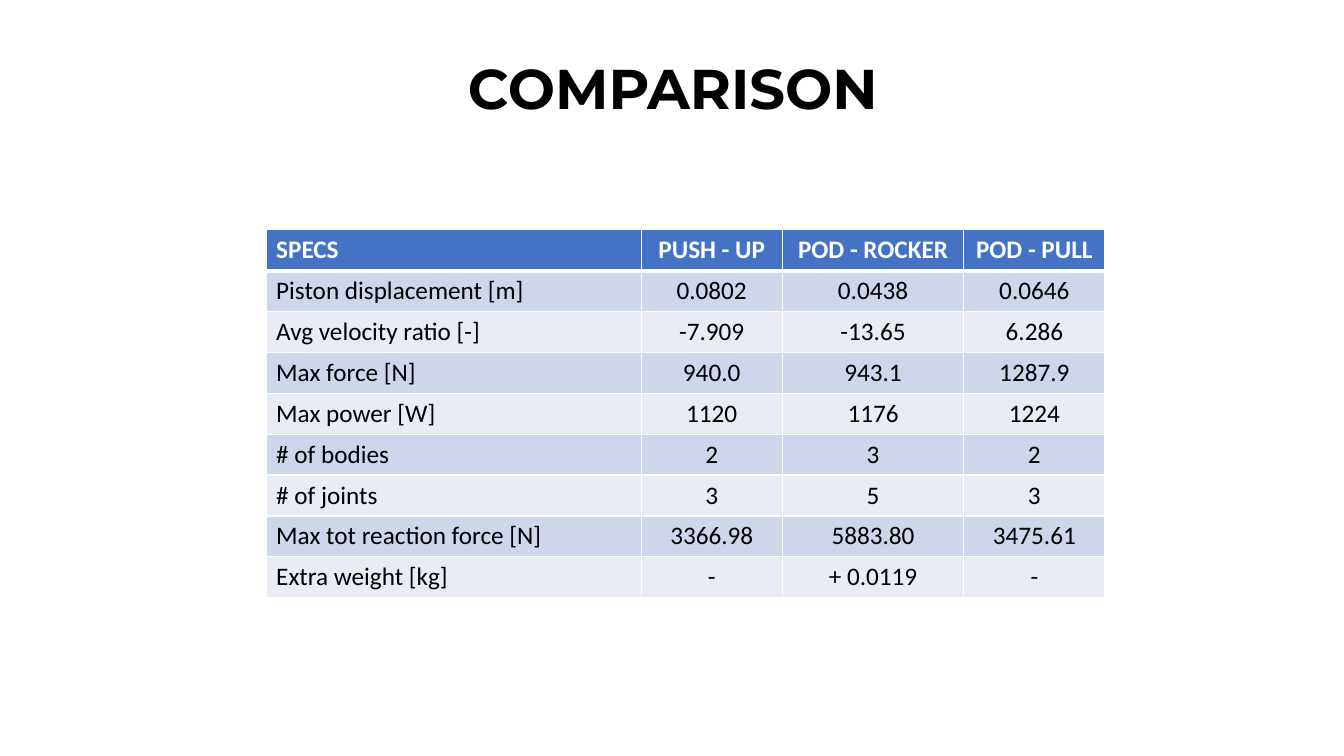
from dataclasses import dataclass

from lxml.etree import SubElement
from pptx import Presentation
from pptx.dml.color import RGBColor
from pptx.enum.text import MSO_ANCHOR, PP_ALIGN
from pptx.oxml.ns import qn
from pptx.util import Inches, Pt


@dataclass(frozen=True)
class Theme:
    """Colours, fonts and type sizes of the slide."""
    black: str = "000000"
    white: str = "FFFFFF"
    head: str = "4472C4"
    bands: tuple = ("CFD5EA", "E9EBF5")
    title: tuple = ("Montserrat", 40)
    body: tuple = ("Calibri", 18)
    thin: int = 1
    thick: int = 3


THEME = Theme()
WIDE, HIGH = Inches(13.33), Inches(7.5)
COLS = (3.72, 1.4, 1.8, 1.4)
ROW = Inches(3.65) // 9
SPECS = (
    ("SPECS", "PUSH - UP", "POD - ROCKER", "POD - PULL"),
    ("Piston displacement [m]", "0.0802", "0.0438", "0.0646"),
    ("Avg velocity ratio [-]", "-7.909", "-13.65", "6.286"),
    ("Max force [N]", "940.0", "943.1", "1287.9"),
    ("Max power [W]", "1120", "1176", "1224"),
    ("# of bodies", "2", "3", "2"),
    ("# of joints", "3", "5", "3"),
    ("Max tot reaction force [N]", "3366.98", "5883.80", "3475.61"),
    ("Extra weight [kg]", "-", "+ 0.0119", "-"),
)


def style(para, face, color, bold, align):
    """Format a paragraph and its runs."""
    para.alignment = align
    for run in para.runs:
        run.font.name, run.font.size = face[0], Pt(face[1])
        run.font.bold = bold
        run.font.color.rgb = RGBColor.from_string(color)


def add_title(slide, text):
    """Fill and place the title placeholder."""
    title = slide.shapes.title
    title.left, title.top = int(WIDE * 0.069), int(HIGH * 0.024)
    title.width, title.height = int(WIDE * 0.863), int(HIGH * 0.193)
    frame = title.text_frame
    frame.text = text
    frame.word_wrap = True
    frame.vertical_anchor = MSO_ANCHOR.MIDDLE
    para = frame.paragraphs[0]
    para.line_spacing = 0.9
    style(para, THEME.title, THEME.black, True, PP_ALIGN.CENTER)


def add_edges(cell, top, bottom):
    """Draw the four borders of a cell."""
    props = cell._tc.get_or_add_tcPr()
    sides = {"L": THEME.thin, "R": THEME.thin, "T": top, "B": bottom}
    for side, width in sides.items():
        line = SubElement(props, qn(f"a:ln{side}"), w=str(Pt(width)))
        fill = SubElement(line, qn("a:solidFill"))
        SubElement(fill, qn("a:srgbClr"), val=THEME.white)


def fill_cell(cell, text, row, col):
    """Write and format one cell by its row and column."""
    head = row == 0
    cell.text = text
    align = PP_ALIGN.CENTER if col else PP_ALIGN.LEFT
    color = THEME.white if head else THEME.black
    style(cell.text_frame.paragraphs[0], THEME.body, color, head, align)
    add_edges(cell, THEME.thick if row == 1 else THEME.thin,
              THEME.thick if head else THEME.thin)
    cell.fill.solid()
    shade = THEME.head if head else THEME.bands[(row - 1) % 2]
    cell.fill.fore_color.rgb = RGBColor.from_string(shade)


def add_grid(slide, rows):
    """Add the table of specs."""
    grid = slide.shapes.add_table(
        len(rows), len(COLS), int(WIDE * 0.198), int(HIGH * 0.304),
        Inches(sum(COLS)), ROW * len(rows)).table
    for col, width in zip(grid.columns, COLS):
        col.width = Inches(width)
    for r, texts in enumerate(rows):
        grid.rows[r].height = ROW
        for c, text in enumerate(texts):
            fill_cell(grid.cell(r, c), text, r, c)


def main():
    """Build and save the slide."""
    deck = Presentation()
    deck.slide_width, deck.slide_height = WIDE, HIGH
    slide = deck.slides.add_slide(deck.slide_layouts[5])
    add_title(slide, "COMPARISON")
    add_grid(slide, SPECS)
    deck.save("out.pptx")


if __name__ == "__main__":
    main()
